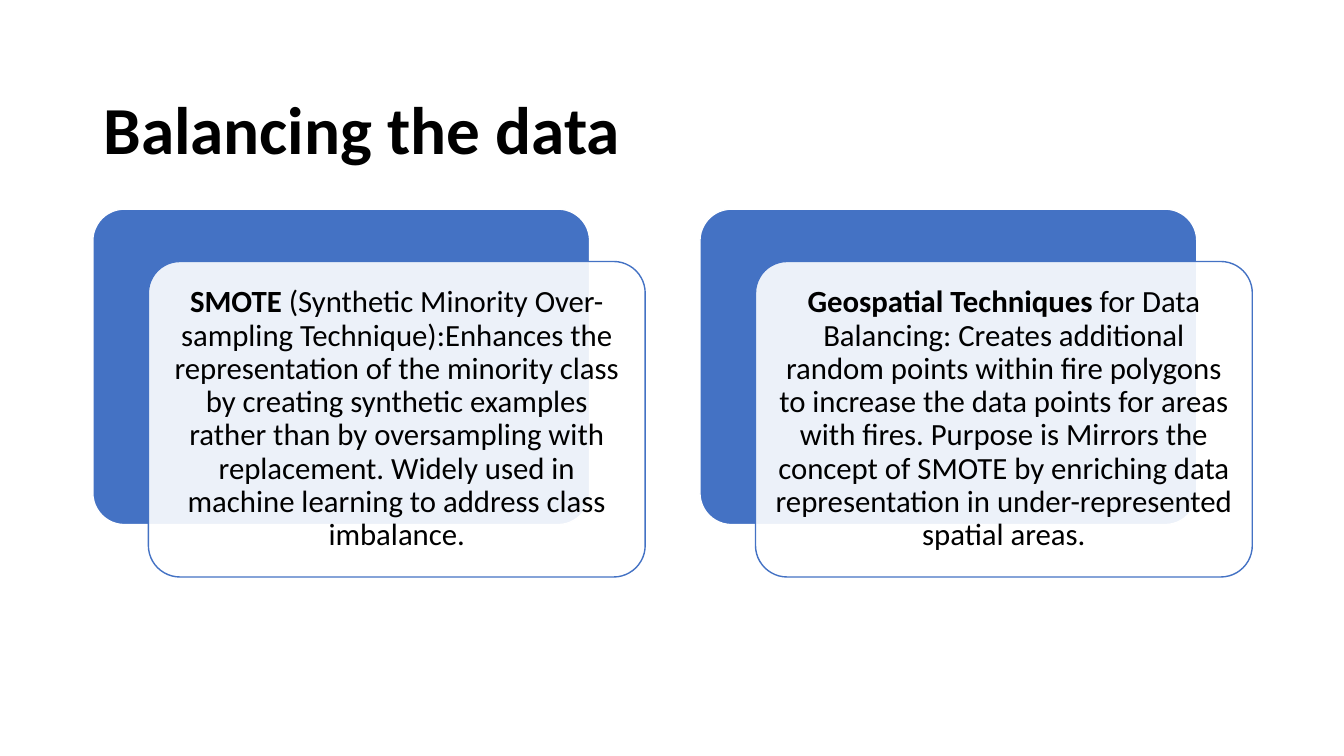
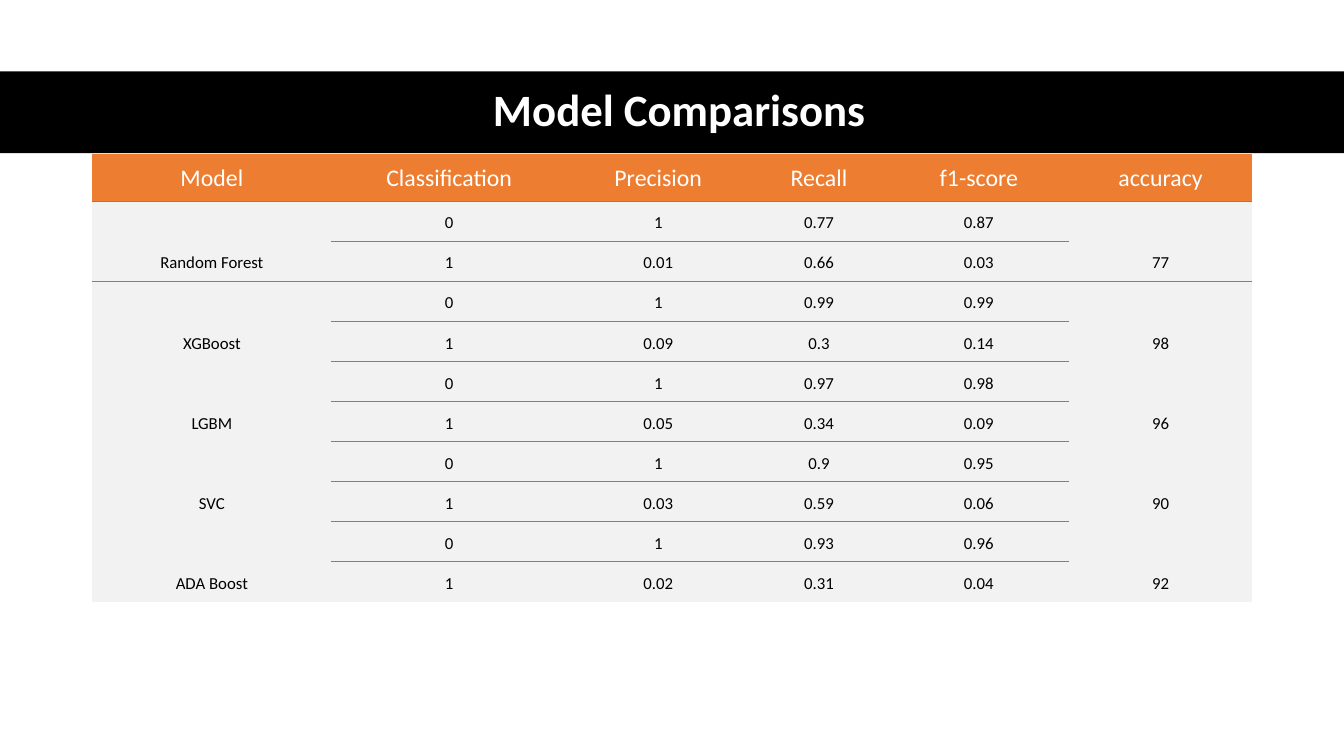
from lxml import etree
from pptx import Presentation
from pptx.dml.color import RGBColor
from pptx.enum.shapes import MSO_SHAPE
from pptx.enum.text import MSO_ANCHOR, PP_ALIGN
from pptx.oxml.ns import qn
from pptx.util import Cm, Pt

RECT, ROUND_RECT = MSO_SHAPE.RECTANGLE, MSO_SHAPE.ROUNDED_RECTANGLE
LEFT, CENTER = PP_ALIGN.LEFT, PP_ALIGN.CENTER
MIDDLE, BOTTOM = MSO_ANCHOR.MIDDLE, MSO_ANCHOR.BOTTOM

SLIDE_W, SLIDE_H = 33.87, 19.05
FONT = "Calibri"
COLORS = {
    "black": "000000",
    "white": "FFFFFF",
    "card": "4472C4",
    "header": "ED7D31",
    "body": "F2F2F2",
    "rule": "808080",
}
NO_STYLE = "{2D5ABB26-0587-4C30-8999-92F81FD0307C}"

CARDS = [
    ("SMOTE",
     " (Synthetic Minority Over-sampling Technique):Enhances the "
     "representation of the minority class by creating synthetic examples "
     "rather than by oversampling with replacement. Widely used in machine "
     "learning to address class imbalance."),
    ("Geospatial Techniques",
     " for Data Balancing: Creates additional random points within fire "
     "polygons to increase the data points for areas with fires. Purpose is "
     "Mirrors the concept of SMOTE by enriching data representation in "
     "under-represented spatial areas."),
]

HEADINGS = ["Model", "Classification", "Precision", "Recall", "f1-score", "accuracy"]
# model, scores for class 0, scores for class 1, accuracy
MODELS = [
    ("Random Forest", ("0", "1", "0.77", "0.87"), ("1", "0.01", "0.66", "0.03"), "77"),
    ("XGBoost", ("0", "1", "0.99", "0.99"), ("1", "0.09", "0.3", "0.14"), "98"),
    ("LGBM", ("0", "1", "0.97", "0.98"), ("1", "0.05", "0.34", "0.09"), "96"),
    ("SVC", ("0", "1", "0.9", "0.95"), ("1", "0.03", "0.59", "0.06"), "90"),
    ("ADA Boost", ("0", "1", "0.93", "0.96"), ("1", "0.02", "0.31", "0.04"), "92"),
]
COL_WIDTHS = [6.02, 5.94, 4.6, 3.5, 4.56, 4.6]
HEADER_H, ROW_H = 1.18, 1.01


def rgb(name):
    return RGBColor.from_string(COLORS[name])


def style(p, size, color="black", align=CENTER, bold=None):
    p.alignment = align
    p.font.name, p.font.size, p.font.bold = FONT, Pt(size), bold
    p.font.color.rgb = rgb(color)


def add_block(s, kind, box, fill, line=None):
    shape = s.shapes.add_shape(kind, *map(Cm, box))
    shape.shadow.inherit = False
    shape.fill.solid()
    shape.fill.fore_color.rgb = rgb(fill)
    if line:
        shape.line.color.rgb = rgb(line)
        shape.line.width = Pt(1)
    else:
        shape.line.fill.background()
    return shape


def add_title(s, text, box, size, color="black", align=LEFT):
    tf = s.shapes.add_textbox(*map(Cm, box)).text_frame
    tf.word_wrap = True
    tf.vertical_anchor = MIDDLE
    p = tf.paragraphs[0]
    p.text = text
    p.line_spacing = 0.9
    style(p, size, color, align, True)


def add_card(s, box, term, text):
    """Blue card with a translucent text card shifted down and right."""
    x, y, w, h = box
    back = add_block(s, ROUND_RECT, box, "card", "white")
    front = add_block(s, ROUND_RECT, (x + 1.4, y + 1.32, w, h), "white", "card")
    for shape in (back, front):
        shape.adjustments[0] = 0.1
    color = front.fill._xPr.find(qn("a:solidFill"))[0]
    etree.SubElement(color, qn("a:alpha"), val="90000")

    tf = front.text_frame
    tf.word_wrap = True
    tf.vertical_anchor = MIDDLE
    tf.margin_left = tf.margin_right = tf.margin_top = tf.margin_bottom = Cm(0.23)
    p = tf.paragraphs[0]
    p.line_spacing = 0.9
    style(p, 22)
    for part, bold in ((term, True), (text, False)):
        r = p.add_run()
        r.text = part
        r.font.bold = bold


def add_rule(cell, edge):
    """Draw a cell border; edge is lnT or lnB."""
    tc_pr = cell._tc.get_or_add_tcPr()
    ln = etree.Element(qn(f"a:{edge}"), w=str(Pt(0.75)))
    fill = etree.SubElement(ln, qn("a:solidFill"))
    etree.SubElement(fill, qn("a:srgbClr"), val=COLORS["rule"])
    tc_pr.insert(0, ln)


def fill_cell(cell, text, size, color, fill, anchor):
    cell.fill.solid()
    cell.fill.fore_color.rgb = rgb(fill)
    cell.margin_left = cell.margin_right = Cm(0.03)
    cell.margin_top, cell.margin_bottom = Cm(0.25), Cm(0.2)
    cell.vertical_anchor = anchor
    p = cell.text_frame.paragraphs[0]
    p.text = text
    style(p, size, color)


def add_model_table(s, x, y):
    rows = [HEADINGS]
    for model, class_0, class_1, accuracy in MODELS:
        rows += [[model, *class_0, accuracy], ["", *class_1, ""]]
    last_row, last_col = len(rows) - 1, len(HEADINGS) - 1
    height = HEADER_H + last_row * ROW_H
    frame = s.shapes.add_table(len(rows), len(HEADINGS), Cm(x), Cm(y),
                               Cm(sum(COL_WIDTHS)), Cm(height))
    table = frame.table
    table._tbl.tblPr.find(qn("a:tableStyleId")).text = NO_STYLE
    table.horz_banding = False
    for column, width in zip(table.columns, COL_WIDTHS):
        column.width = Cm(width)

    for i, row in enumerate(rows):
        table.rows[i].height = Cm(ROW_H if i else HEADER_H)
        look = (12, "black", "body", BOTTOM) if i else (17, "white", "header", MIDDLE)
        for j, text in enumerate(row):
            cell = table.cell(i, j)
            fill_cell(cell, text, *look)
            outer = j in (0, last_col)
            if i == 0 or (i == last_row if outer else i < last_row):
                add_rule(cell, "lnB")
            if i == 1 or (i > 1 and not outer):
                add_rule(cell, "lnT")

    for i in range(1, last_row, 2):
        for j in (0, last_col):
            table.cell(i, j).merge(table.cell(i + 1, j))


def balancing_slide(s):
    for i, (term, text) in enumerate(CARDS):
        add_card(s, (2.34 + i * 15.3, 5.27, 12.52, 7.95), term, text)
    add_title(s, "Balancing the data", (2.36, 1.98, 29.11, 2.72), 48)


def comparison_slide(s):
    add_block(s, RECT, (0, 1.8, SLIDE_W, 2.06), "black")
    add_title(s, "Model Comparisons", (1.55, 1.78, 31.14, 2.06), 32, "white", CENTER)
    add_model_table(s, 2.33, 3.89)


def main():
    prs = Presentation()
    prs.slide_width, prs.slide_height = Cm(SLIDE_W), Cm(SLIDE_H)
    for build in (balancing_slide, comparison_slide):
        build(prs.slides.add_slide(prs.slide_layouts[6]))
    prs.save("out.pptx")


if __name__ == "__main__":
    main()
